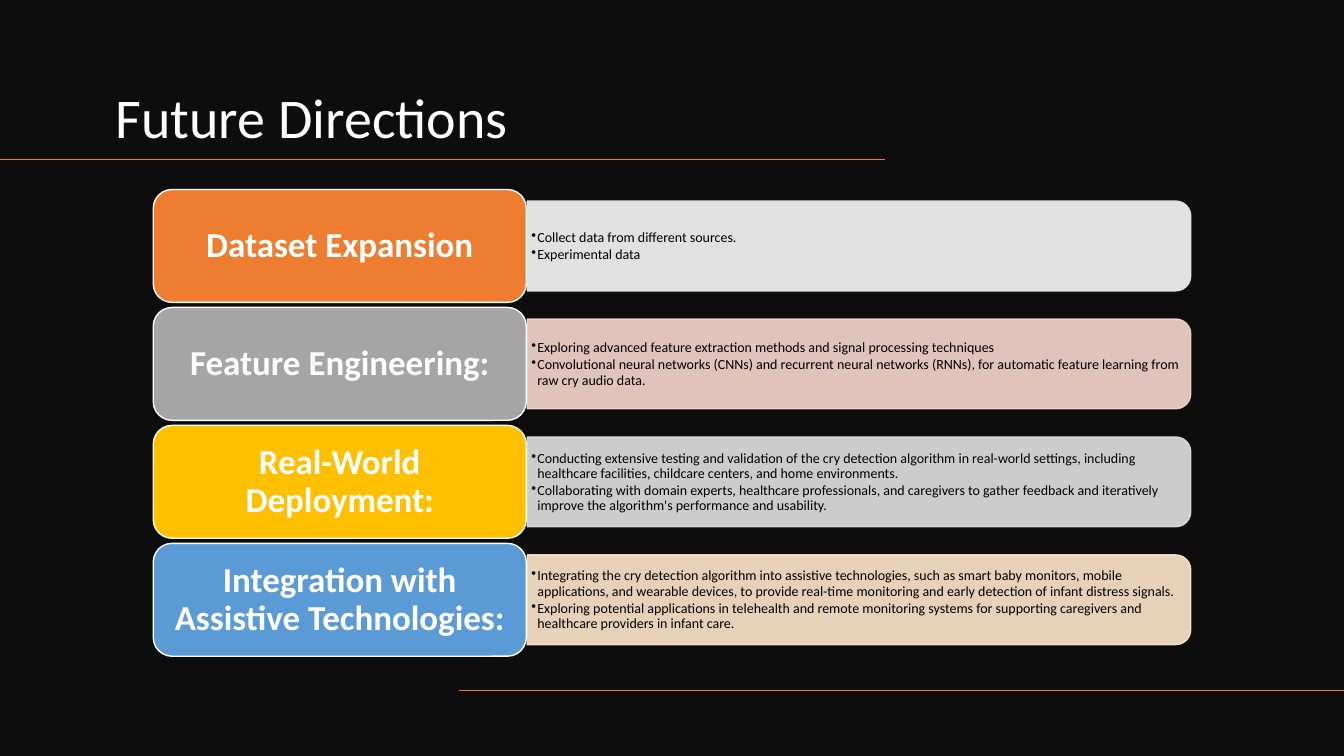
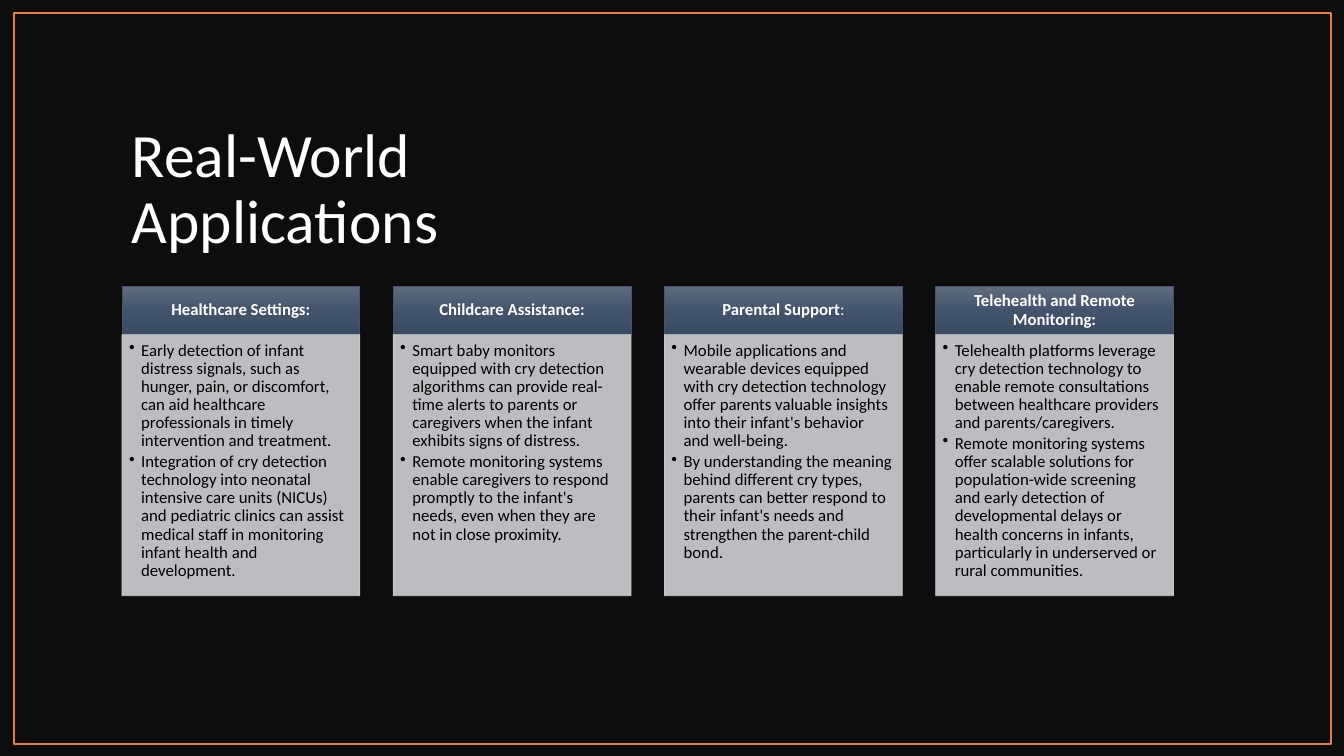
"""Build two dark slides on the future and the uses of infant cry detection."""
import dataclasses

import lxml.etree
import pptx
import pptx.dml.color
import pptx.enum.shapes
import pptx.enum.text
import pptx.oxml.ns
import pptx.util

Inches = pptx.util.Inches
Shape = pptx.enum.shapes.MSO_SHAPE
Anchor = pptx.enum.text.MSO_ANCHOR
Align = pptx.enum.text.PP_ALIGN
rgb = pptx.dml.color.RGBColor.from_string
qn = pptx.oxml.ns.qn


@dataclasses.dataclass(frozen=True)
class Theme:
    font: str = "Calibri"
    background: str = "0D0D0D"
    accent: str = "ED7D31"
    light: str = "FFFFFF"
    dark: str = "000000"
    card: str = "CFD1D4"
    header_line: str = "44546A"
    header_stops: tuple = ((0, "606B7D"), (0.5, "42546C"), (1, "394A62"))
    title_size: int = 40
    large_title_size: int = 44
    label_size: int = 25
    detail_size: int = 10
    card_size: int = 12


theme = Theme()


def write_text(shape, paragraphs, *, size, color, bold=False, tail="", align=Align.LEFT,
               anchor=Anchor.TOP, margins=(0.1, 0.05, 0.1, 0.05), bullet_indent=0):
    """Fill a shape with formatted paragraphs; tail is a plain run at the end."""
    frame = shape.text_frame
    frame.word_wrap = True
    frame.vertical_anchor = anchor
    (frame.margin_left, frame.margin_top,
     frame.margin_right, frame.margin_bottom) = map(Inches, margins)
    for index, text in enumerate(paragraphs):
        paragraph = frame.add_paragraph() if index else frame.paragraphs[0]
        paragraph.alignment = align
        paragraph.line_spacing = 0.9
        is_last = index == len(paragraphs) - 1
        for words, weight in ((text, bold), (tail if is_last else "", False)):
            if words:
                run = paragraph.add_run()
                run.text = words
                run.font.name = theme.font
                run.font.size = pptx.util.Pt(size)
                run.font.bold = weight
                run.font.color.rgb = rgb(color)
        if bullet_indent:
            paragraph.space_after = pptx.util.Pt(size * 0.15)
            properties = paragraph._p.get_or_add_pPr()
            properties.set("marL", str(Inches(bullet_indent)))
            properties.set("indent", str(-Inches(bullet_indent)))
            lxml.etree.SubElement(properties, qn("a:buChar"), char="•")


def add_box(slide, kind, box, *, line, fill=None, width=1, opacity=100):
    """Add a preset shape with a flat fill and outline of the given opacity."""
    shape = slide.shapes.add_shape(kind, *map(Inches, box))
    shape.shadow.inherit = False
    if fill:
        shape.fill.solid()
        shape.fill.fore_color.rgb = rgb(fill)
    else:
        shape.fill.background()
    shape.line.color.rgb = rgb(line)
    shape.line.width = pptx.util.Pt(width)
    if opacity < 100:
        for color in shape._element.spPr.iter(qn("a:srgbClr")):
            lxml.etree.SubElement(color, qn("a:alpha"), val=str(opacity * 1000))
    return shape


deck = pptx.Presentation()
deck.slide_width, deck.slide_height = Inches(13.33), Inches(7.5)

titles = (
    ("Future Directions", theme.title_size, (1.05, 0.42, 7.73, 1.12)),
    ("Real-World Applications", theme.large_title_size, (1.21, 1, 5.17, 1.6)),
)
slides = []
for title, title_size, title_box in titles:
    slide = deck.slides.add_slide(deck.slide_layouts[6])
    slide.background.fill.solid()
    slide.background.fill.fore_color.rgb = rgb(theme.background)
    heading = slide.shapes.add_textbox(*map(Inches, title_box))
    write_text(heading, [title], size=title_size, color=theme.light, anchor=Anchor.BOTTOM)
    slides.append(slide)
directions, applications = slides

for start, end, height in ((8.78, 0, 1.58), (13.33, 4.55, 6.85)):
    rule = directions.shapes.add_connector(
        pptx.enum.shapes.MSO_CONNECTOR.STRAIGHT,
        Inches(start), Inches(height), Inches(end), Inches(height))
    rule.line.color.rgb = rgb(theme.accent)
    rule.line.width = pptx.util.Pt(1)
    lxml.etree.SubElement(rule._element.spPr, qn("a:effectLst"))

direction_rows = (
    ("Dataset Expansion", "ED7D31", "E1E1E1", 100, (
        "Collect data from different sources.",
        "Experimental data")),
    ("Feature Engineering:", "A5A5A5", "F8D7CE", 90, (
        "Exploring advanced feature extraction methods and signal processing techniques",
        "Convolutional neural networks (CNNs) and recurrent neural networks (RNNs), for "
        "automatic feature learning from raw cry audio data.")),
    ("Real-World Deployment:", "FFC000", "E1E1E1", 90, (
        "Conducting extensive testing and validation of the cry detection algorithm in "
        "real-world settings, including healthcare facilities, childcare centers, and home "
        "environments.",
        "Collaborating with domain experts, healthcare professionals, and caregivers to gather "
        "feedback and iteratively improve the algorithm's performance and usability.")),
    ("Integration with Assistive Technologies:", "5B9BD5", "FFE8CC", 90, (
        "Integrating the cry detection algorithm into assistive technologies, such as smart baby "
        "monitors, mobile applications, and wearable devices, to provide real-time monitoring "
        "and early detection of infant distress signals.",
        "Exploring potential applications in telehealth and remote monitoring systems for "
        "supporting caregivers and healthcare providers in infant care.")),
)
label_left, label_width, label_height = 1.52, 3.7, 1.12
panel_left, panel_width, panel_height = 5.23, 6.58, 0.89
for row, (name, label_color, panel_color, opacity, details) in enumerate(direction_rows):
    label_top = 1.88 + row * 1.17
    middle = label_top + label_height / 2
    upright_box = (panel_left + (panel_width - panel_height) / 2, middle - panel_width / 2,
                   panel_height, panel_width)
    panel = add_box(directions, Shape.ROUND_2_SAME_RECTANGLE, upright_box,
                    fill=panel_color, line=panel_color, opacity=opacity)
    panel.rotation = 90
    detail = directions.shapes.add_textbox(
        Inches(panel_left), Inches(middle - 0.4), Inches(6.54), Inches(0.81))
    write_text(detail, details, size=theme.detail_size, color=theme.dark, anchor=Anchor.MIDDLE,
               margins=(0.04, 0.02, 0.04, 0.02), bullet_indent=0.06)
    label = add_box(directions, Shape.ROUNDED_RECTANGLE,
                    (label_left, label_top, label_width, label_height),
                    fill=label_color, line=theme.light)
    write_text(label, [name], size=theme.label_size, color=theme.light, bold=True,
               align=Align.CENTER, anchor=Anchor.MIDDLE)

add_box(applications, Shape.RECTANGLE, (0.14, 0.13, 13.06, 7.25), line=theme.accent)

application_cards = (
    ("Healthcare Settings:", "", (
        "Early detection of infant distress signals, such as hunger, pain, or discomfort, can aid "
        "healthcare professionals in timely intervention and treatment.",
        "Integration of cry detection technology into neonatal intensive care units (NICUs) and "
        "pediatric clinics can assist medical staff in monitoring infant health and "
        "development.")),
    ("Childcare Assistance:", "", (
        "Smart baby monitors equipped with cry detection algorithms can provide real-time alerts "
        "to parents or caregivers when the infant exhibits signs of distress.",
        "Remote monitoring systems enable caregivers to respond promptly to the infant's needs, "
        "even when they are not in close proximity.")),
    ("Parental Support", ":", (
        "Mobile applications and wearable devices equipped with cry detection technology offer "
        "parents valuable insights into their infant's behavior and well-being.",
        "By understanding the meaning behind different cry types, parents can better respond to "
        "their infant's needs and strengthen the parent-child bond.")),
    ("Telehealth and Remote Monitoring:", "", (
        "Telehealth platforms leverage cry detection technology to enable remote consultations "
        "between healthcare providers and parents/caregivers.",
        "Remote monitoring systems offer scalable solutions for population-wide screening and "
        "early detection of developmental delays or health concerns in infants, particularly in "
        "underserved or rural communities.")),
)
card_width, header_top, header_height, body_height = 2.36, 2.84, 0.48, 2.59
for column, (name, tail, uses) in enumerate(application_cards):
    card_left = 1.21 + column * 2.69
    header = add_box(applications, Shape.RECTANGLE,
                     (card_left, header_top, card_width, header_height),
                     line=theme.header_line, width=0.5)
    header.fill.gradient()
    header.fill.gradient_angle = 270
    stop_list = header._element.spPr.find(".//" + qn("a:gsLst"))
    lxml.etree.SubElement(lxml.etree.SubElement(stop_list, qn("a:gs"), pos="100000"),
                          qn("a:srgbClr"), val=theme.light)
    for stop, (position, color) in zip(header.fill.gradient_stops, theme.header_stops):
        stop.position = position
        stop.color.rgb = rgb(color)
    write_text(header, [name], size=theme.card_size, color=theme.light, bold=True, tail=tail,
               align=Align.CENTER, anchor=Anchor.MIDDLE, margins=(0.09, 0.05, 0.09, 0.05))
    body = add_box(applications, Shape.RECTANGLE,
                   (card_left, header_top + header_height, card_width, body_height),
                   fill=theme.card, line=theme.card, width=0.5, opacity=90)
    write_text(body, uses, size=theme.card_size, color=theme.dark,
               margins=(0.07, 0.07, 0.09, 0.1), bullet_indent=0.12)

deck.save("out.pptx")
